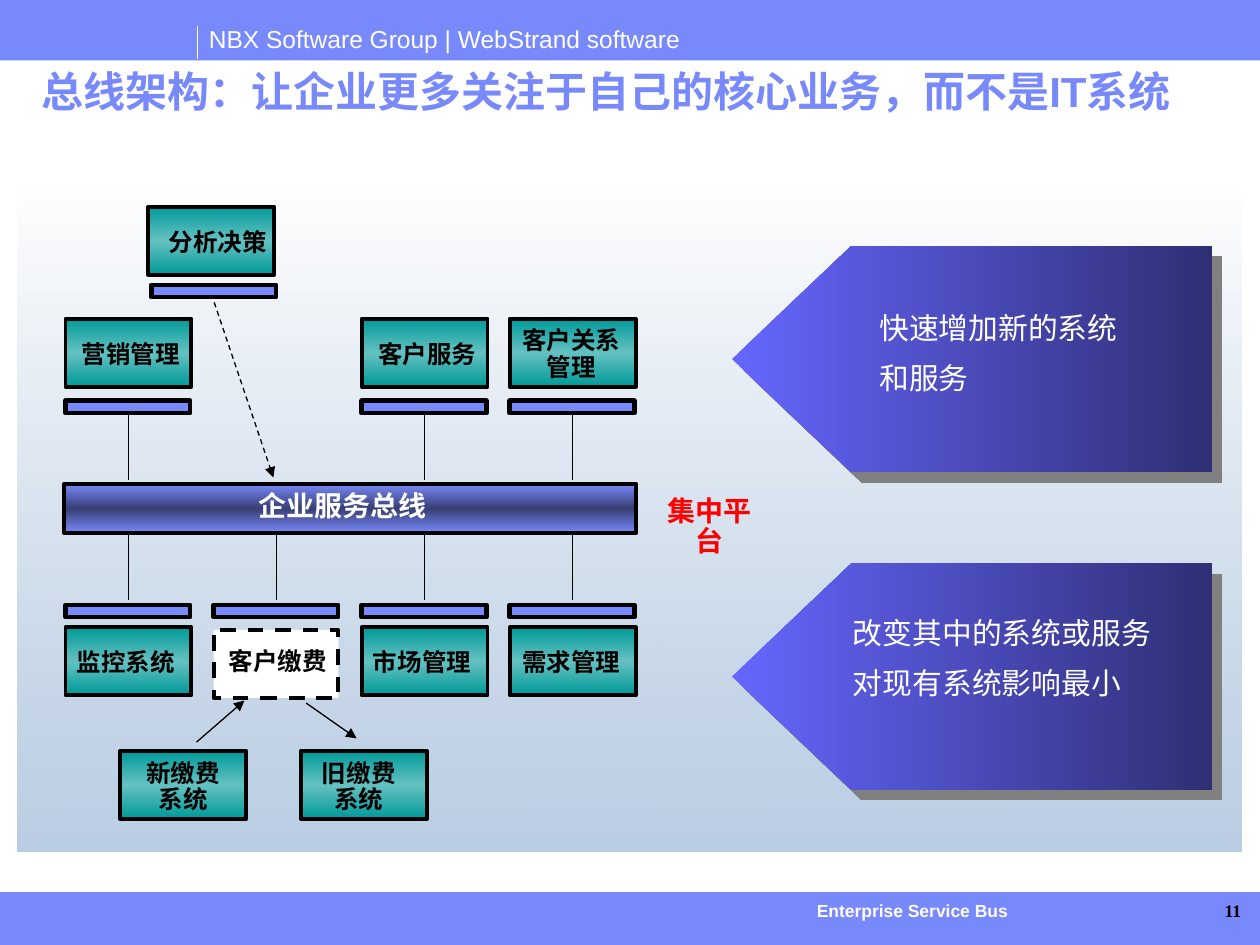
import lxml.etree
import pptx
import pptx.dml.color
import pptx.enum.dml
import pptx.enum.shapes
import pptx.enum.text
import pptx.oxml.ns
import pptx.util

COLORS = {
    "band": "7889FB", "white": "FFFFFF", "black": "000000", "red": "FF0000",
    "teal": "009999", "aqua": "65C1C1", "navy": "373F73", "haze": "6C96C4",
    "violet": "6666FF", "indigo": "2F2F75", "gray": "808080",
}
TEAL_STOPS = [(0, "teal", 100), (50, "aqua", 100), (100, "teal", 100)]
BUS_STOPS = [(0, "band", 100), (50, "navy", 100), (100, "band", 100)]
PANEL_STOPS = [(0, "white", 59), (100, "haze", 47)]
ARROW_STOPS = [(0, "violet", 100), (100, "indigo", 100)]
COLUMN_LEFT, COLUMN_STEP = 5.2, 11.75
CARD_WIDTH, CARD_HEIGHT = 10, 5.4
SYSTEMS = [
    ("分析决策", 0.56, 16.4, 0.5),
    ("营销管理", 0, 25.3, 0.2),
    ("客户服务", 2, 25.3, 0.2),
    ("客户关系\n管理", 3, 25.3, -0.1),
    ("监控系统", 0, 49.8, -0.2),
    ("市场管理", 2, 49.8, -0.2),
    ("需求管理", 3, 49.8, -0.1),
    ("新缴费\n系统", 0.37, 59.6, 0),
    ("旧缴费\n系统", 1.59, 59.6, -0.4),
]
ADAPTERS = [(0.58, 22.6), (0, 31.8), (2, 31.8), (3, 31.8),
            (0, 48), (1, 48), (2, 48), (3, 48)]
BENEFITS = [
    (19.5, "快速增加新的系统\n和服务", 68.8, 24.1, 25.4),
    (44.7, "改变其中的系统或服务\n对现有系统影响最小", 66.7, 48.3, 33.2),
]


def cells(count):
    """Convert grid cells, 100 across and 75 down, to a length."""
    return pptx.util.Inches(count / 10)


def color(name):
    """Look up a named colour."""
    return pptx.dml.color.RGBColor.from_string(COLORS[name])


def column(index):
    """Return the left edge of a system column in cells."""
    return COLUMN_LEFT + COLUMN_STEP * index


def add_element(parent, tag, **attributes):
    """Append a drawing element to a parent."""
    element = lxml.etree.SubElement(parent, pptx.oxml.ns.qn(tag))
    for name, value in attributes.items():
        element.set(name, str(value))
    return element


def paint(shape, fill, angle=270):
    """Fill a shape with a named colour or a list of gradient stops."""
    if isinstance(fill, str):
        shape.fill.solid()
        shape.fill.fore_color.rgb = color(fill)
        return
    shape.fill.gradient()
    shape.fill.gradient_angle = angle
    stops = next(shape._element.spPr.iter(pptx.oxml.ns.qn("a:gsLst")))
    for stop in list(stops):
        stops.remove(stop)
    for position, name, opacity in fill:
        stop = add_element(stops, "a:gs", pos=position * 1000)
        tint = add_element(stop, "a:srgbClr", val=COLORS[name])
        if opacity < 100:
            add_element(tint, "a:alpha", val=opacity * 1000)


def add_box(slide, left, top, width, height, fill, line=None, dashed=False):
    """Add a rectangle with an optional black border."""
    shape = slide.shapes.add_shape(
        pptx.enum.shapes.MSO_SHAPE.RECTANGLE, *map(cells, (left, top, width, height)))
    shape.shadow.inherit = False
    paint(shape, fill)
    if line is None:
        shape.line.fill.background()
        return
    shape.line.color.rgb = color("black")
    shape.line.width = pptx.util.Pt(line)
    if dashed:
        shape.line.dash_style = pptx.enum.dml.MSO_LINE.DASH


def add_text(slide, text, left, top, width, height, *, size=14, tint="black", bold=False,
             font="Arial", align="LEFT", anchor="TOP", wrap=False, inset=True,
             leading=None, before=0, after=0):
    """Add a text box, one paragraph for each line of text."""
    shape = slide.shapes.add_textbox(*map(cells, (left, top, width, height)))
    frame = shape.text_frame
    frame.word_wrap = wrap
    frame.vertical_anchor = getattr(pptx.enum.text.MSO_ANCHOR, anchor)
    if not inset:
        frame.margin_left = frame.margin_right = 0
        frame.margin_top = frame.margin_bottom = 0
    frame.text = text
    for index, paragraph in enumerate(frame.paragraphs):
        paragraph.alignment = getattr(pptx.enum.text.PP_ALIGN, align)
        paragraph.line_spacing = leading
        paragraph.space_before = pptx.util.Pt(before if index else 0)
        paragraph.space_after = pptx.util.Pt(after)
        for run in paragraph.runs:
            run.font.name = font
            run.font.size = pptx.util.Pt(size)
            run.font.bold = bold
            run.font.color.rgb = color(tint)


def add_line(slide, start, end, tint="black", arrow=False, dashed=False):
    """Add a straight thin line, optionally dashed or with an arrowhead."""
    connector = slide.shapes.add_connector(
        pptx.enum.shapes.MSO_CONNECTOR.STRAIGHT, *map(cells, (*start, *end)))
    connector.line.color.rgb = color(tint)
    connector.line.width = pptx.util.Pt(0.75)
    if dashed:
        connector.line.dash_style = pptx.enum.dml.MSO_LINE.DASH
    if arrow:
        add_element(connector.line._get_or_add_ln(), "a:tailEnd", type="triangle")
    add_element(connector._element.spPr, "a:effectLst")


def add_label(slide, text, left, top):
    """Centre a bold label on a system card."""
    add_text(slide, text, left, top, CARD_WIDTH, CARD_HEIGHT, bold=True,
             align="CENTER", anchor="MIDDLE", leading=0.9)


def add_benefit(slide, top, text, text_left, text_top, text_width):
    """Add a left-pointing block with a hard shadow and its text."""
    tip, shoulder, right, height = 58.1, 67.6, 96.2, 18
    builder = slide.shapes.build_freeform(cells(tip), cells(top + height / 2))
    corners = [(shoulder, top), (right, top), (right, top + height), (shoulder, top + height)]
    builder.add_line_segments([(cells(x), cells(y)) for x, y in corners])
    shape = builder.convert_to_shape()
    paint(shape, ARROW_STOPS, angle=0)
    shape.line.fill.background()
    shape.shadow.inherit = False
    effects = shape._element.spPr.find(pptx.oxml.ns.qn("a:effectLst"))
    shadow = add_element(effects, "a:outerShdw", dist=pptx.util.Pt(8.5),
                         dir=45 * 60000, algn="ctr", rotWithShape=0)
    add_element(shadow, "a:srgbClr", val=COLORS["gray"])
    add_text(slide, text, text_left, text_top, text_width, 13.7, size=17,
             tint="white", wrap=True, before=5.2, after=3.1)


def add_frame(slide):
    """Add the header, title, footer and background panel."""
    add_box(slide, 0, 70.8, 100, 4.2, "band")
    add_box(slide, 0, 0, 100, 4.8, "band")
    add_text(slide, "NBX Software Group | WebStrand software", 15.6, 1.4, 39.4, 3.4,
             tint="white")
    add_line(slide, (15.7, 2.1), (15.7, 4.7), "white")
    add_text(slide, "Enterprise Service Bus", 56.7, 71.4, 31.4, 1.7, size=10,
             tint="white", bold=True, align="CENTER", inset=False)
    add_text(slide, "11", 91.1, 71.4, 7.4, 1.7, size=10, bold=True,
             font="Times New Roman", align="RIGHT", inset=False)
    add_box(slide, 1.4, 14.5, 97.1, 53.1, PANEL_STOPS)
    add_text(slide, "总线架构：让企业更多关注于自己的核心业务，而不是IT系统", 2.3, 5.2, 97.7, 4.6,
             size=24, tint="band", bold=True, wrap=True, leading=0.9)


def add_bus(slide):
    """Add the service bus and the lines that join the systems to it."""
    add_box(slide, 5.1, 38.4, 45.4, 3.9, BUS_STOPS, 2.25)
    add_text(slide, "企业服务总线", 19.3, 38.6, 15.8, 3.4, size=16, tint="white",
             bold=True, align="CENTER", leading=0.9)
    add_text(slide, "集中平台", 50.9, 39, 10.8, 3.4, size=16, tint="red",
             bold=True, align="CENTER", leading=0.9)
    for top, bottom, indexes in [(32.9, 38.1, (0, 2, 3)), (42.3, 47.6, (0, 1, 2, 3))]:
        for index in indexes:
            middle = column(index) + CARD_WIDTH / 2
            add_line(slide, (middle, top), (middle, bottom))


def add_systems(slide):
    """Add the system cards, their adapters and the arrows between them."""
    for index, top in ADAPTERS:
        add_box(slide, column(index), top, 9.9, 1, "band", 2.5)
    for text, index, top, shift in SYSTEMS:
        add_box(slide, column(index), top, CARD_WIDTH, CARD_HEIGHT, TEAL_STOPS, 2.25)
        add_label(slide, text, column(index) + shift, top + 0.2)
    add_box(slide, column(1), 50, 9.9, CARD_HEIGHT, "white", 2.25, dashed=True)
    add_label(slide, "客户缴费", column(1) + 0.1, 49.9)
    add_line(slide, (17, 24), (21.7, 37.9), arrow=True, dashed=True)
    add_line(slide, (15.6, 58.9), (19.4, 55.6), arrow=True)
    add_line(slide, (24.3, 55.8), (28.3, 58.6), arrow=True)


def main():
    """Build and save the slide."""
    presentation = pptx.Presentation()
    presentation.slide_width, presentation.slide_height = cells(100), cells(75)
    slide = presentation.slides.add_slide(presentation.slide_layouts[6])
    add_frame(slide)
    add_bus(slide)
    add_systems(slide)
    for benefit in BENEFITS:
        add_benefit(slide, *benefit)
    presentation.save("out.pptx")


if __name__ == "__main__":
    main()
